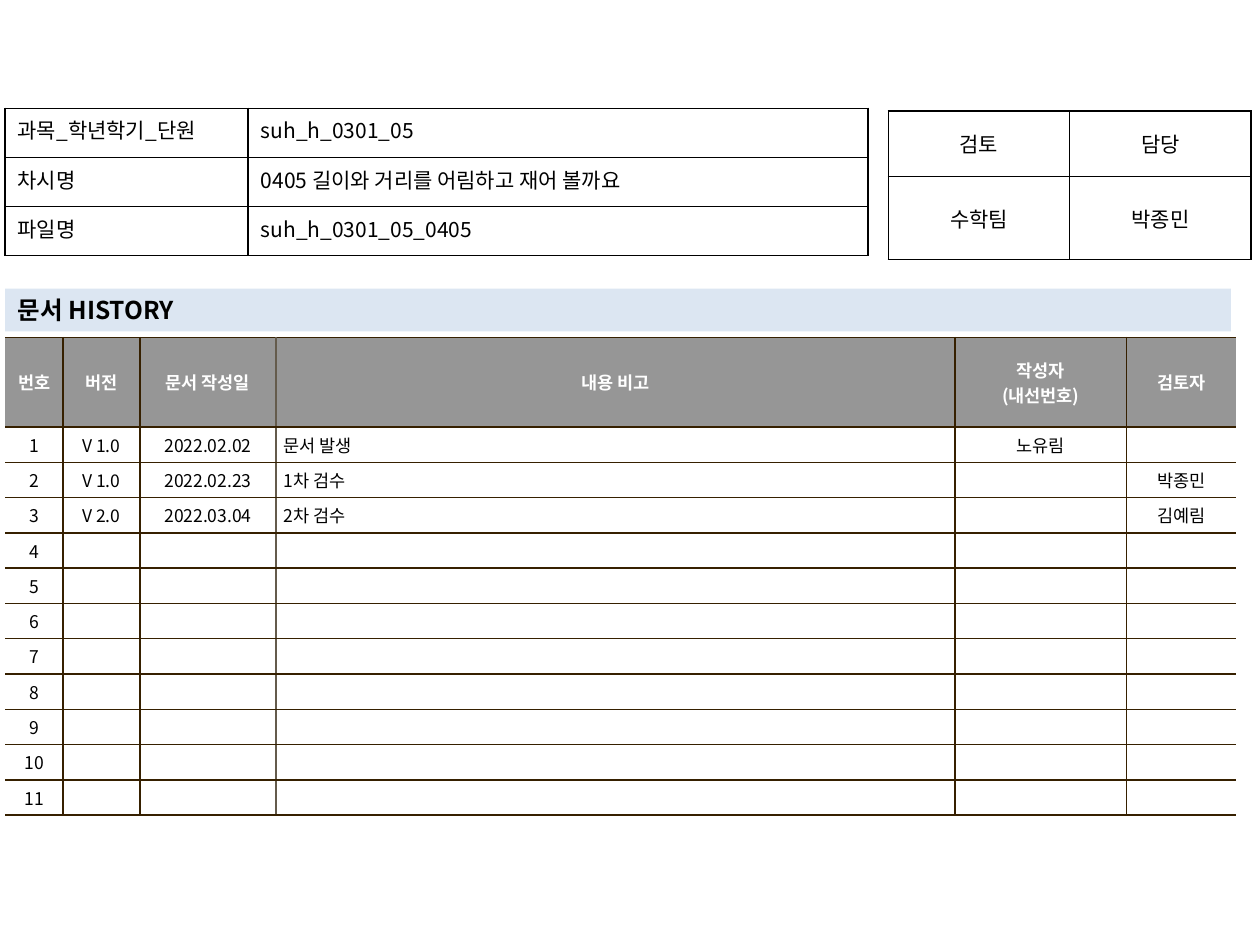
"""Build the document history slide with its lesson, approval and revision tables."""
from dataclasses import dataclass

from lxml.etree import SubElement
from pptx import Presentation
from pptx.dml.color import RGBColor as RGB
from pptx.enum.text import MSO_ANCHOR as Anchor, MSO_AUTO_SIZE as AutoSize, PP_ALIGN as Align
from pptx.oxml.ns import qn
from pptx.util import Inches, Pt

LESSON = [
    ("과목_학년학기_단원", "suh_h_0301_05"),
    ("차시명", "0405 길이와 거리를 어림하고 재어 볼까요"),
    ("파일명", "suh_h_0301_05_0405"),
]
APPROVAL = [("검토", "담당"), ("수학팀", "박종민")]
HEADING = "문서 HISTORY"
HISTORY_HEADER = ("번호", "버전", "문서 작성일", "내용 비고", "작성자\n(내선번호)", "검토자")
REVISIONS = [
    ("V 1.0", "2022.02.02", "문서 발생", "노유림", ""),
    ("V 1.0", "2022.02.23", "1차 검수", "", "박종민"),
    ("V 2.0", "2022.03.04", "2차 검수", "", "김예림"),
]
REVISION_SLOTS = 11
NOTE, REVIEWER = 3, 5


@dataclass(frozen=True)
class Theme:
    font: str = "Noto Sans CJK KR"
    ink: str = "000000"
    paper: str = "FFFFFF"
    header: str = "969696"
    band: str = "DCE6F2"
    rule: str = "362000"
    soft_rule: str = "645B4C"
    rule_width: float = 1
    heading_size: int = 14
    info_size: int = 12
    history_size: int = 10


THEME = Theme()


def style_text(frame, size, color, bold=False, align=Align.LEFT):
    for paragraph in frame.paragraphs:
        paragraph.alignment = align
        for run in paragraph.runs:
            font = run.font
            font.name, font.size, font.bold = THEME.font, Pt(size), bold
            font.color.rgb = RGB.from_string(color)
            SubElement(font._element, qn("a:ea"), typeface=THEME.font)
        if not paragraph.runs:
            SubElement(paragraph._p, qn("a:endParaRPr"), sz=str(size * 100))


def hang(cell, indent):
    properties = cell.text_frame.paragraphs[0]._p.get_or_add_pPr()
    properties.set("marL", str(Inches(indent)))
    properties.set("indent", str(-Inches(indent)))


def set_borders(cell, left, right, top, bottom):
    properties = cell._tc.get_or_add_tcPr()
    for side, color in zip("LRTB", (left, right, top, bottom)):
        line = SubElement(properties, qn(f"a:ln{side}"), w=str(Pt(THEME.rule_width)))
        if color:
            SubElement(SubElement(line, qn("a:solidFill")), qn("a:srgbClr"), val=color)
        else:
            SubElement(line, qn("a:noFill"))


def add_grid(slide, left, top, widths, heights, rows):
    frame = slide.shapes.add_table(len(rows), len(widths), Inches(left), Inches(top),
                                   Inches(sum(widths)), Inches(sum(heights)))
    grid = frame.table
    grid.first_row = grid.horz_banding = False
    for column, width in zip(grid.columns, widths):
        column.width = Inches(width)
    for row, height, texts in zip(grid.rows, heights, rows):
        row.height = Inches(height)
        for cell, text in zip(row.cells, texts):
            cell.text = text
    return grid


def add_info(slide, left, top, widths, heights, rows, aligns, anchor):
    grid = add_grid(slide, left, top, widths, heights, rows)
    for row in grid.rows:
        for cell, align in zip(row.cells, aligns):
            cell.vertical_anchor = anchor
            style_text(cell.text_frame, THEME.info_size, THEME.ink, align=align)
            set_borders(cell, *[THEME.ink] * 4)
            cell.fill.background()


def add_history(slide):
    blank = ("",) * (len(HISTORY_HEADER) - 1)
    entries = REVISIONS + [blank] * (REVISION_SLOTS - len(REVISIONS))
    rows = [HISTORY_HEADER] + [(str(n), *entry) for n, entry in enumerate(entries, 1)]
    grid = add_grid(slide, 0.04, 2.68, (0.46, 0.61, 1.08, 5.39, 1.36, 0.87),
                    [0.71] + [0.25] * REVISION_SLOTS, rows)
    edges = [None] + [THEME.rule] * (len(HISTORY_HEADER) - 1) + [None]
    edges[NOTE] = THEME.soft_rule
    for r, row in enumerate(grid.rows):
        is_header = r == 0
        for c, cell in enumerate(row.cells):
            cell.vertical_anchor = Anchor.MIDDLE
            cell.margin_left = cell.margin_right = Inches(0.06)
            cell.margin_top = cell.margin_bottom = Inches(0.04)
            align = Align.LEFT if c == NOTE and not is_header else Align.CENTER
            style_text(cell.text_frame, THEME.history_size,
                       THEME.paper if is_header else THEME.ink, is_header, align)
            if cell.text and not is_header and c in (NOTE, REVIEWER):
                hang(cell, 0.19 if c == NOTE else 0.09)
            set_borders(cell, edges[c], edges[c + 1], THEME.rule, THEME.rule)
            cell.fill.solid()
            cell.fill.fore_color.rgb = RGB.from_string(THEME.header if is_header else THEME.paper)


def add_heading(slide):
    heading = slide.shapes.title
    heading.left, heading.top = Inches(0.04), Inches(2.29)
    heading.width, heading.height = Inches(9.73), Inches(0.34)
    heading.fill.solid()
    heading.fill.fore_color.rgb = RGB.from_string(THEME.band)
    frame = heading.text_frame
    frame.text = HEADING
    frame.auto_size = AutoSize.NONE
    frame.vertical_anchor = Anchor.MIDDLE
    style_text(frame, THEME.heading_size, THEME.ink, bold=True)


def main():
    deck = Presentation()
    deck.slide_width, deck.slide_height = Inches(10), Inches(7.5)
    slide = deck.slides.add_slide(deck.slide_layouts.get_by_name("Title Only"))
    add_heading(slide)
    add_history(slide)
    add_info(slide, 7.05, 0.88, (1.44, 1.44), (0.52, 0.66), APPROVAL,
             (Align.CENTER, Align.CENTER), Anchor.MIDDLE)
    add_info(slide, 0.04, 0.86, (1.93, 4.92), [0.39] * len(LESSON), LESSON,
             (Align.JUSTIFY, Align.LEFT), Anchor.TOP)
    deck.save("out.pptx")


if __name__ == "__main__":
    main()
